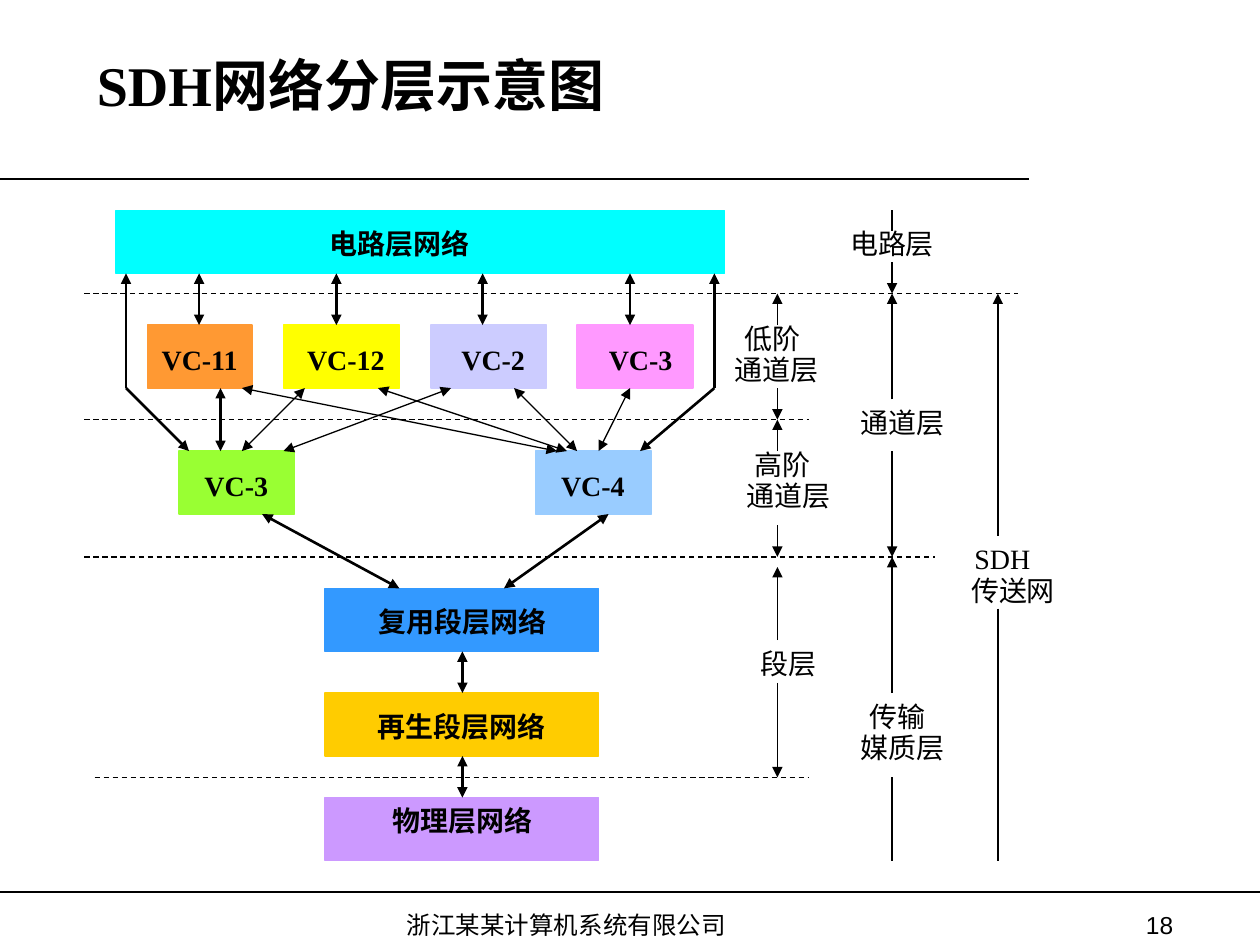
from lxml import etree
from pptx import Presentation
from pptx.dml.color import RGBColor
from pptx.enum.dml import MSO_LINE
from pptx.enum.shapes import MSO_CONNECTOR, MSO_SHAPE
from pptx.enum.text import MSO_ANCHOR, PP_ALIGN
from pptx.oxml.ns import qn
from pptx.util import Inches, Pt

presentation = Presentation()
presentation.slide_width = Inches(10)
presentation.slide_height = Inches(7.5)
slide = presentation.slides.add_slide(presentation.slide_layouts[6])


def add_text(text, left, top, width, height=0.37, size=16, bold=False,
             align=PP_ALIGN.CENTER, anchor=MSO_ANCHOR.TOP, font="Times New Roman"):
    box = slide.shapes.add_textbox(Inches(left), Inches(top), Inches(width), Inches(height))
    frame = box.text_frame
    frame.word_wrap = True
    frame.vertical_anchor = anchor
    paragraph = frame.paragraphs[0]
    paragraph.alignment = align
    run = paragraph.add_run()
    run.text = text
    run.font.name = font
    run.font.size = Pt(size)
    run.font.bold = bold
    run.font.color.rgb = RGBColor.from_string("000000")


def add_line(x1, y1, x2, y2, width=0.75, arrows="", dashed=False):
    """Draw a black line; arrows may hold "head" (start) and "tail" (end)."""
    line = slide.shapes.add_connector(
        MSO_CONNECTOR.STRAIGHT, Inches(x1), Inches(y1), Inches(x2), Inches(y2))
    line.line.color.rgb = RGBColor.from_string("000000")
    line.line.width = Pt(width)
    if dashed:
        line.line.dash_style = MSO_LINE.DASH
    outline = line.line._get_or_add_ln()
    for end in arrows.split():
        etree.SubElement(outline, qn(f"a:{end}End"), type="triangle")
    etree.SubElement(line._element.spPr, qn("a:effectLst"))


# Title, rules and footer
add_line(0, 1.42, 8.17, 1.42)
add_line(0, 7.08, 10, 7.08)
add_text("SDH网络分层示意图", 0.67, 0.42, 8.58, 0.5, size=32, bold=True,
         align=PP_ALIGN.LEFT, anchor=MSO_ANCHOR.MIDDLE)
add_text("浙江某某计算机系统有限公司", 3.13, 7.17, 3.12, 0.34, size=14, align=PP_ALIGN.LEFT)
add_text("18", 7.33, 7.17, 2.08, 0.33, size=14, align=PP_ALIGN.RIGHT, font="Arial")

# Layer blocks: left, top, width, colour, then label text, left, top, width
blocks = [
    (0.92, 1.67, 4.83, "00FFFF", "电路层网络", 1.67, 1.75, 3),
    (1.17, 2.58, 0.83, "FF9933", "VC-11", 1.17, 2.67, 0.83),
    (2.25, 2.58, 0.92, "FFFF00", "VC-12", 2.33, 2.67, 0.83),
    (3.42, 2.58, 0.92, "CCCCFF", "VC-2", 3.5, 2.67, 0.83),
    (4.58, 2.58, 0.92, "FF99FF", "VC-3", 4.67, 2.67, 0.83),
    (1.42, 3.58, 0.92, "99FF33", "VC-3", 1.5, 3.67, 0.75),
    (4.25, 3.58, 0.92, "99CCFF", "VC-4", 4.33, 3.67, 0.75),
    (2.58, 4.67, 2.17, "3399FF", "复用段层网络", 2.67, 4.75, 2),
    (2.58, 5.5, 2.17, "FFCC00", "再生段层网络", 2.58, 5.58, 2.17),
    (2.58, 6.33, 2.17, "CC99FF", "物理层网络", 2.67, 6.33, 2),
]
for left, top, width, colour, label, label_left, label_top, label_width in blocks:
    block = slide.shapes.add_shape(
        MSO_SHAPE.RECTANGLE, Inches(left), Inches(top), Inches(width), Inches(0.5))
    block.shadow.inherit = False
    block.fill.solid()
    block.fill.fore_color.rgb = RGBColor.from_string(colour)
    block.line.color.rgb = RGBColor.from_string(colour)
    block.line.width = Pt(0.75)
    add_text(label, label_left, label_top, label_width, bold=True)

# Bent links from the circuit layer straight to the higher-order blocks
for x, target_x in [(1, 1.5), (5.67, 5.08)]:
    add_line(x, 3.08, x, 2.17, 1.5, "tail")
    add_line(x, 3.08, target_x, 3.58, 1.5, "tail")

# Two-way links between neighbouring layers
for x in [1.58, 2.67, 3.83, 5]:
    add_line(x, 2.17, x, 2.58, 1.5, "head tail")
for x1, x2, width in [(1.75, 1.75, 1.5), (2.42, 1.92, 0.75), (3.58, 2.25, 0.75),
                      (1.92, 4.42, 0.75), (3, 4.5, 0.75), (4.08, 4.58, 0.75),
                      (5, 4.75, 0.75)]:
    add_line(x1, 3.08, x2, 3.58, width, "head tail")
for x1, y1, x2, y2 in [(2.08, 4.08, 3.17, 4.67), (4.83, 4.08, 4, 4.67),
                       (3.67, 5.17, 3.67, 5.5), (3.67, 6, 3.67, 6.33)]:
    add_line(x1, y1, x2, y2, 1.5, "head tail")

# Dashed layer boundaries
for left, right, y in [(0.67, 8.08, 2.33), (0.67, 6.42, 3.33),
                       (0.67, 7.42, 4.42), (0.75, 6.42, 6.17)]:
    add_line(left, y, right, y, dashed=True)

# Layer spans: x, start, end, arrow at the end
spans = [
    (6.17, 2.58, 2.33, "tail"), (6.17, 3.08, 3.33, "tail"),
    (6.17, 3.58, 3.33, "tail"), (6.17, 4.17, 4.42, "tail"),
    (6.17, 5.08, 4.5, "tail"), (6.17, 5.42, 6.17, "tail"),
    (7.08, 1.67, 1.83, ""), (7.08, 2.08, 2.33, "tail"),
    (7.08, 3.17, 2.33, "tail"), (7.08, 3.58, 4.42, "tail"),
    (7.08, 5.5, 4.42, "tail"), (7.08, 6.17, 6.83, ""),
    (7.92, 4.25, 2.33, "tail"), (7.92, 4.83, 6.83, ""),
]
for x, start, end, arrows in spans:
    add_line(x, start, x, end, arrows=arrows)

# Span labels: text, left, top, width, height
span_labels = [
    ("低阶", 5.67, 2.5, 0.92, 0.37), ("通道层", 5.58, 2.75, 1.17, 0.77),
    ("高阶", 5.75, 3.5, 0.92, 0.37), ("通道层", 5.67, 3.75, 1.17, 0.77),
    ("段层", 5.67, 5.08, 1.17, 0.77), ("电路层", 6.58, 1.75, 1, 0.37),
    ("通道层", 6.58, 3.17, 1.17, 0.77), ("传输", 6.75, 5.5, 0.75, 0.37),
    ("媒质层", 6.58, 5.75, 1.17, 0.37), ("SDH", 7.58, 4.25, 0.75, 0.37),
    ("传送网", 7.5, 4.5, 1.08, 0.37),
]
for text, left, top, width, height in span_labels:
    add_text(text, left, top, width, height)

presentation.save("out.pptx")
